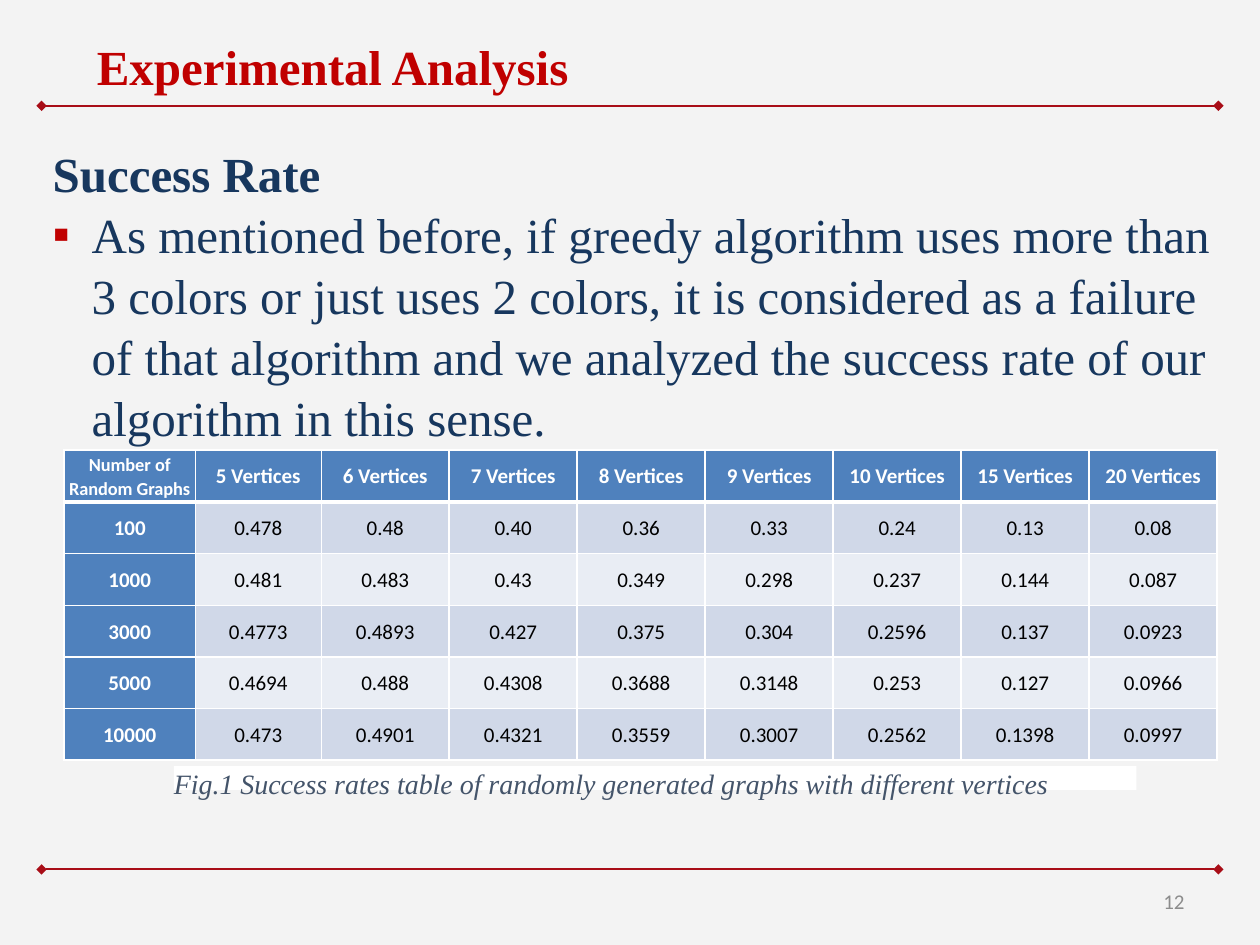
"""Build the slide on success rates of greedy colouring for random graphs."""
import lxml.etree
import pptx
import pptx.dml.color
import pptx.enum.shapes
import pptx.enum.text
import pptx.oxml.ns
import pptx.util

RGB = pptx.dml.color.RGBColor
BACKGROUND = RGB(0xF3, 0xF3, 0xF3)
WHITE = RGB(0xFF, 0xFF, 0xFF)
BLACK = RGB(0x00, 0x00, 0x00)
RED = RGB(0xC0, 0x00, 0x00)
RULE_RED = RGB(0xA8, 0x0D, 0x17)
NAVY = RGB(0x17, 0x37, 0x5E)
SLATE = RGB(0x44, 0x54, 0x6A)
GREY = RGB(0x8C, 0x8C, 0x8C)
HEADER_BLUE = RGB(0x4F, 0x81, 0xBD)
BANDS = [RGB(0xD0, 0xD8, 0xE8), RGB(0xE9, 0xED, 0xF4)]
SERIF, SANS = "Times New Roman", "Calibri"
MIDDLE = pptx.enum.text.MSO_ANCHOR.MIDDLE
ALIGN = pptx.enum.text.PP_ALIGN
qn = pptx.oxml.ns.qn

prs = pptx.Presentation()
prs.slide_width = pptx.util.Inches(10)
prs.slide_height = pptx.util.Inches(7.5)
s = prs.slides.add_slide(prs.slide_layouts[6])
s.background.fill.solid()
s.background.fill.fore_color.rgb = BACKGROUND


def place(*shares):
    """Turn percentages of the slide's width and height into lengths."""
    sides = [prs.slide_width, prs.slide_height] * 2
    return [int(side * share / 100) for side, share in zip(sides, shares)]


def add_run(p, text, font, size, color, bold=False, italic=False):
    """Append one formatted run to a paragraph."""
    r = p.add_run()
    r.text = text
    r.font.name, r.font.size, r.font.color.rgb = font, pptx.util.Pt(size), color
    r.font.bold, r.font.italic = bold, italic


tf = s.shapes.add_textbox(*place(71.7, 92.67, 23.3, 5.33)).text_frame
tf.word_wrap, tf.vertical_anchor = True, MIDDLE
p = tf.paragraphs[0]
p.alignment = ALIGN.RIGHT
add_run(p, "12", SANS, 12, GREY)

for y in (92, 11.2):
    ln = s.shapes.add_connector(pptx.enum.shapes.MSO_CONNECTOR.STRAIGHT, *place(3.3, y, 96.7, y))
    ln.line.color.rgb = RULE_RED
    ln.line.width = pptx.util.Pt(1.25)
    for end in ("a:headEnd", "a:tailEnd"):
        lxml.etree.SubElement(ln.line._get_or_add_ln(), qn(end), type="diamond")
    lxml.etree.SubElement(ln._element.spPr, qn("a:effectLst"))

tf = s.shapes.add_textbox(*place(3.2, 14.27, 95, 32.8)).text_frame
tf.word_wrap = True
p = tf.paragraphs[0]
p.line_spacing = 1.04
add_run(p, "Success Rate", SERIF, 28, NAVY, bold=True)
p = tf.add_paragraph()
p.line_spacing = 1.04
add_run(p, "As mentioned before, if greedy algorithm uses more than 3 colors or just uses 2 colors, "
        "it is considered as a failure of that algorithm and we analyzed the success rate of our "
        "algorithm in this sense.", SERIF, 28, NAVY)
pPr = p._p.get_or_add_pPr()
indent = pptx.util.Inches(0.31)
pPr.set("marL", str(indent))
pPr.set("indent", str(-indent))
bullet_color = lxml.etree.SubElement(pPr, qn("a:buClr"))
lxml.etree.SubElement(bullet_color, qn("a:srgbClr"), val=str(RED))
lxml.etree.SubElement(pPr, qn("a:buFont"), typeface=SERIF)
lxml.etree.SubElement(pPr, qn("a:buChar"), char="▪")

tf = s.shapes.add_textbox(*place(6.7, 0, 58, 14)).text_frame
tf.word_wrap, tf.vertical_anchor = True, MIDDLE
add_run(tf.paragraphs[0], "Experimental Analysis", SERIF, 28, RED, bold=True)

rows = [
    ["Number of Random Graphs"] + [f"{n} Vertices" for n in (5, 6, 7, 8, 9, 10, 15, 20)],
    ["100", "0.478", "0.48", "0.40", "0.36", "0.33", "0.24", "0.13", "0.08"],
    ["1000", "0.481", "0.483", "0.43", "0.349", "0.298", "0.237", "0.144", "0.087"],
    ["3000", "0.4773", "0.4893", "0.427", "0.375", "0.304", "0.2596", "0.137", "0.0923"],
    ["5000", "0.4694", "0.488", "0.4308", "0.3688", "0.3148", "0.253", "0.127", "0.0966"],
    ["10000", "0.473", "0.4901", "0.4321", "0.3559", "0.3007", "0.2562", "0.1398", "0.0997"],
]
table = s.shapes.add_table(len(rows), len(rows[0]), *place(5.1, 47.6, 91.5, 32.8)).table
table.horz_banding = False
for column, share in zip(table.columns, [10.4, 10] + [10.16] * 7):
    column.width = place(share)[0]
for i, row in enumerate(rows):
    for j, text in enumerate(row):
        cell = table.cell(i, j)
        heading = i == 0 or j == 0
        cell.vertical_anchor = MIDDLE
        cell.margin_left = cell.margin_right = pptx.util.Inches(0.03)
        cell.margin_top = cell.margin_bottom = pptx.util.Inches(0.02)
        for side in "LRTB":
            thick = (i, side) in [(0, "B"), (1, "T")]
            border = lxml.etree.SubElement(cell._tc.get_or_add_tcPr(), qn(f"a:ln{side}"),
                                           w=str(pptx.util.Pt(3 if thick else 1)))
            fill = lxml.etree.SubElement(border, qn("a:solidFill"))
            lxml.etree.SubElement(fill, qn("a:srgbClr"), val=str(WHITE))
        cell.fill.solid()
        cell.fill.fore_color.rgb = HEADER_BLUE if heading else BANDS[(i - 1) % 2]
        p = cell.text_frame.paragraphs[0]
        p.alignment, p.line_spacing = ALIGN.CENTER, 1.07
        add_run(p, text, SANS, 10.5 if i == j == 0 else 12, WHITE if heading else BLACK, bold=heading)

sp = s.shapes.add_shape(pptx.enum.shapes.MSO_SHAPE.RECTANGLE, *place(13.8, 81.07, 76.4, 2.53))
sp.shadow.inherit = False
sp.fill.solid()
sp.fill.fore_color.rgb = WHITE
sp.line.fill.background()
tf = sp.text_frame
tf.word_wrap, tf.vertical_anchor = True, pptx.enum.text.MSO_ANCHOR.TOP
tf.margin_left = tf.margin_right = tf.margin_top = tf.margin_bottom = 0
p = tf.paragraphs[0]
p.alignment, p.space_after = ALIGN.LEFT, pptx.util.Pt(10)
add_run(p, "Fig.1 Success rates table of randomly generated graphs with different vertices",
        SERIF, 16, SLATE, italic=True)

prs.save("out.pptx")
